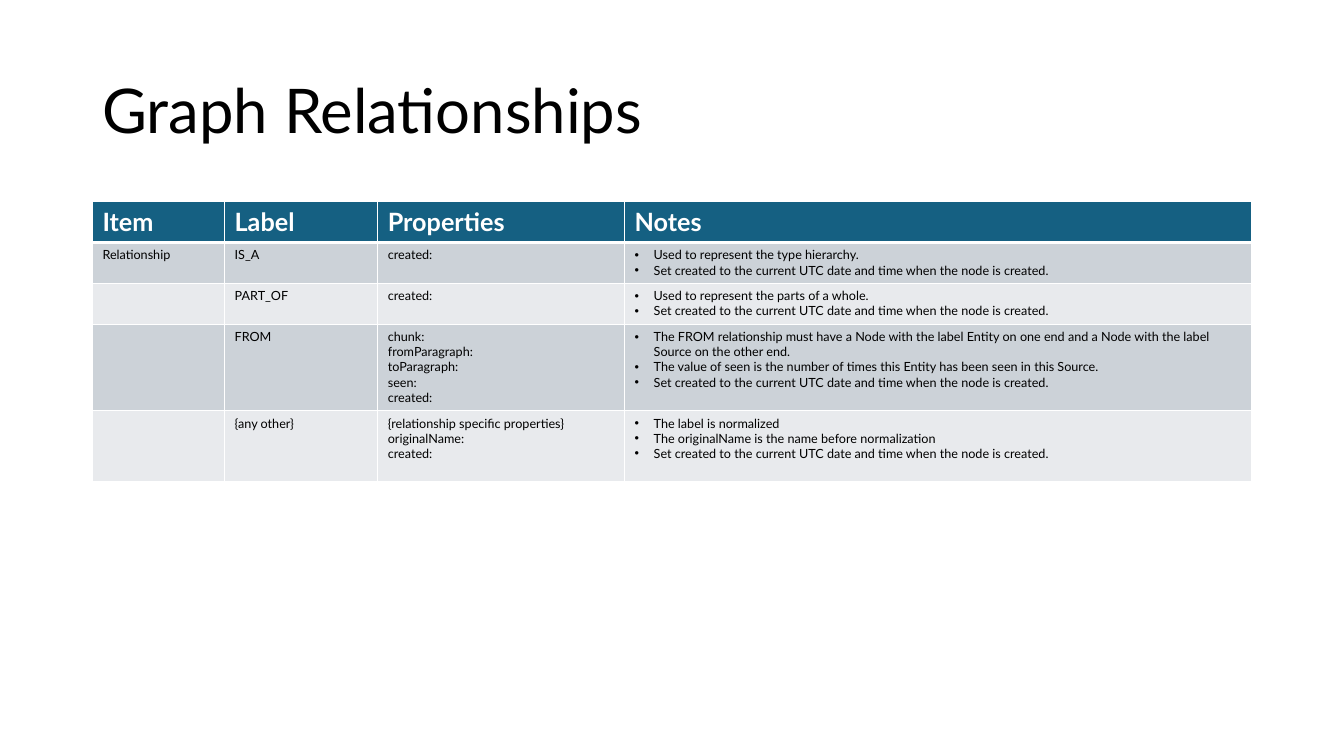
from lxml import etree
from pptx import Presentation
from pptx.dml.color import RGBColor
from pptx.enum.text import MSO_ANCHOR
from pptx.oxml.ns import qn
from pptx.util import Cm, Pt

FONT = "Lato"
BLACK = RGBColor(0x00, 0x00, 0x00)
WHITE = RGBColor(0xFF, 0xFF, 0xFF)
HEADER_BLUE = RGBColor(0x15, 0x60, 0x82)
BANDS = [RGBColor(0xCC, 0xD2, 0xD8), RGBColor(0xE8, 0xEA, 0xED)]
CREATED = "Set created to the current UTC date and time when the node is created."

COL_WIDTHS = [3.33, 3.86, 6.22, 15.8]
ROW_HEIGHTS = [1.03, 1.03, 1.03, 2.18, 1.78]
ROWS = [
    ["Item", "Label", "Properties", "Notes"],
    ["Relationship", "IS_A", "created:",
     "Used to represent the type hierarchy.\n" + CREATED],
    ["", "PART_OF", "created:",
     "Used to represent the parts of a whole.\n" + CREATED],
    ["", "FROM", "chunk:\nfromParagraph:\ntoParagraph:\nseen:\ncreated:",
     "The FROM relationship must have a Node with the label Entity on one end "
     "and a Node with the label Source on the other end.\n"
     "The value of seen is the number of times this Entity has been seen in this Source.\n"
     + CREATED],
    ["", "{any other}",
     "{relationship specific properties}\noriginalName:\ncreated:",
     "The label is normalized\n"
     "The originalName is the name before normalization\n" + CREATED],
]


def set_borders(cell, top, bottom):
    """Draw white borders; top and bottom are widths in points, the sides are 1."""
    tc_pr = cell._tc.get_or_add_tcPr()
    for side, width in (("L", 1), ("R", 1), ("T", top), ("B", bottom)):
        ln = etree.SubElement(tc_pr, qn(f"a:ln{side}"), w=str(Pt(width)))
        fill = etree.SubElement(ln, qn("a:solidFill"))
        etree.SubElement(fill, qn("a:srgbClr"), val=str(WHITE))


def add_bullet(p):
    p_pr = p._p.get_or_add_pPr()
    p_pr.set("marL", str(Cm(0.48)))
    p_pr.set("indent", str(-Cm(0.48)))
    etree.SubElement(p_pr, qn("a:buFont"), typeface="Arial")
    etree.SubElement(p_pr, qn("a:buChar"), char="•")


prs = Presentation()
prs.slide_width, prs.slide_height = Cm(33.87), Cm(19.05)
s = prs.slides.add_slide(prs.slide_layouts[6])

# Title
tf = s.shapes.add_textbox(Cm(2.33), Cm(1.01), Cm(29.21), Cm(3.68)).text_frame
tf.word_wrap = True
tf.vertical_anchor = MSO_ANCHOR.MIDDLE
tf.text = "Graph Relationships"
p = tf.paragraphs[0]
p.line_spacing = 0.9
font = p.runs[0].font
font.name, font.size = FONT, Pt(44)
font.color.rgb = BLACK

# Relationship table
table = s.shapes.add_table(len(ROWS), len(COL_WIDTHS), Cm(2.33), Cm(5.08),
                           Cm(sum(COL_WIDTHS)), Cm(sum(ROW_HEIGHTS))).table
for column, width in zip(table.columns, COL_WIDTHS):
    column.width = Cm(width)
for row, height in zip(table.rows, ROW_HEIGHTS):
    row.height = Cm(height)

for i, texts in enumerate(ROWS):
    header = i == 0
    for j, text in enumerate(texts):
        cell = table.cell(i, j)
        set_borders(cell, top=3 if i == 1 else 1, bottom=3 if header else 1)
        cell.fill.solid()
        cell.fill.fore_color.rgb = HEADER_BLUE if header else BANDS[(i - 1) % 2]
        cell.text_frame.text = text
        for p in cell.text_frame.paragraphs:
            if j == 3 and not header:
                add_bullet(p)
            for r in p.runs:
                r.font.name = FONT
                r.font.size = Pt(18 if header else 9)
                r.font.bold = header
                r.font.color.rgb = WHITE if header else BLACK

prs.save("out.pptx")
